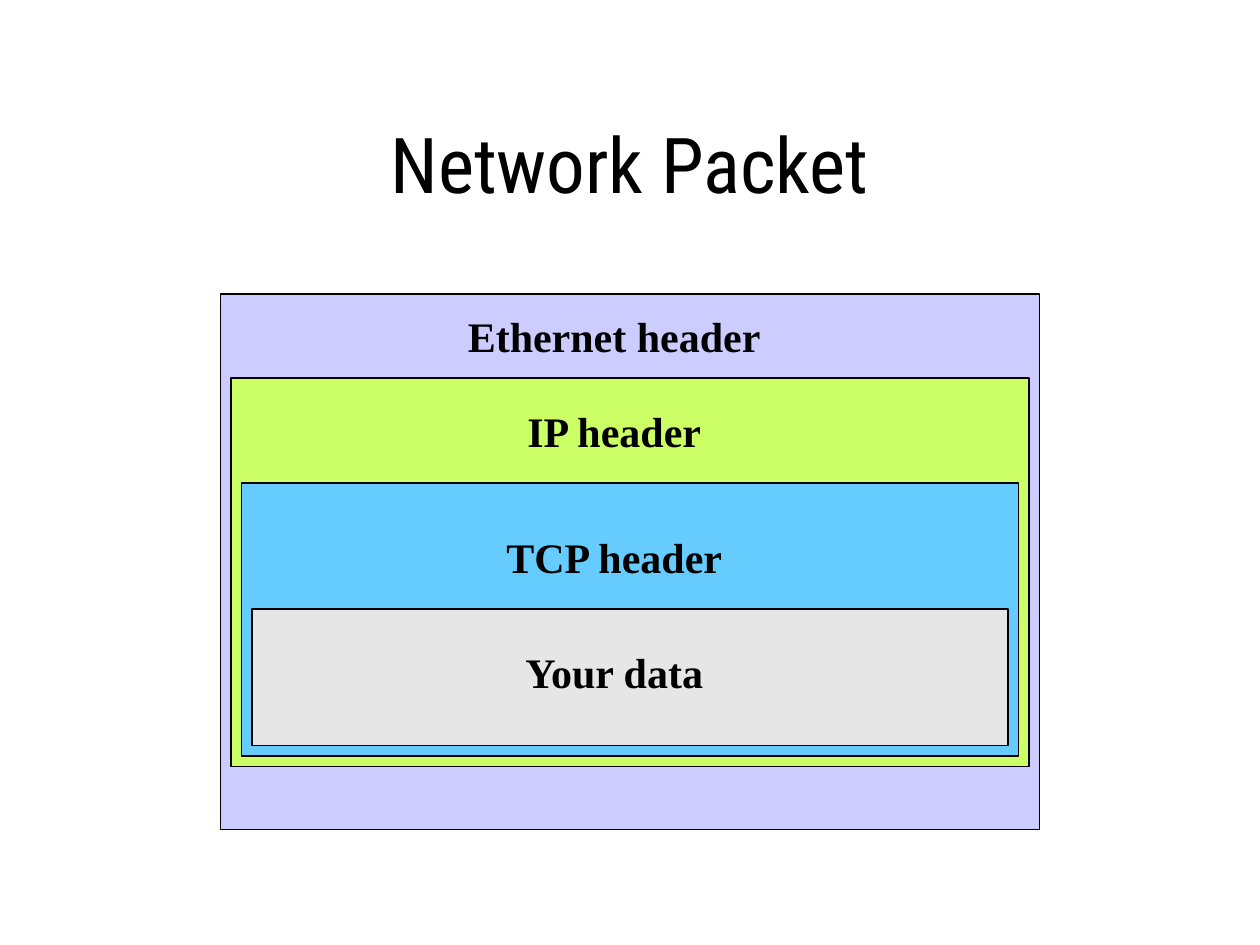
from pptx import Presentation
from pptx.dml.color import RGBColor
from pptx.enum import shapes, text
from pptx.util import Pt


def color(value):
    return RGBColor.from_string(value)


def add_label(slide, words, left, top, width, height, font, size, bold, anchor):
    box = slide.shapes.add_textbox(Pt(left), Pt(top), Pt(width), Pt(height))
    frame = box.text_frame
    frame.word_wrap = True
    frame.vertical_anchor = anchor
    paragraph = frame.paragraphs[0]
    paragraph.alignment = text.PP_ALIGN.CENTER
    run = paragraph.add_run()
    run.text = words
    run.font.name = font
    run.font.size = Pt(size)
    run.font.bold = bold
    run.font.color.rgb = color("000000")


presentation = Presentation()
presentation.slide_width, presentation.slide_height = Pt(720), Pt(540)
slide = presentation.slides.add_slide(presentation.slide_layouts[6])

# Title
add_label(slide, "Network Packet", 54, 48, 612, 90,
          "Roboto Condensed", 44, False, text.MSO_ANCHOR.MIDDLE)

# Nested layers, outermost first: name, fill, top, height, label top
layers = [
    ("Ethernet header", "CCCCFF", 168, 306, 174),
    ("IP header", "CCFF66", 216, 222, 228),
    ("TCP header", "66CCFF", 276, 156, 300),
    ("Your data", "E6E6E6", 348, 78, 366),
]
outer_left, inset = 126, 6
for level, (name, fill, top, height, label_top) in enumerate(layers):
    left = outer_left + level * inset
    shape = slide.shapes.add_shape(shapes.MSO_SHAPE.RECTANGLE,
                                   Pt(left), Pt(top), Pt(720 - 2 * left), Pt(height))
    shape.shadow.inherit = False
    shape.fill.solid()
    shape.fill.fore_color.rgb = color(fill)
    shape.line.color.rgb = color("000000")
    shape.line.width = Pt(0.74)
    add_label(slide, name, 246, label_top, 210, 36,
              "Times New Roman", 24, True, text.MSO_ANCHOR.TOP)

presentation.save("out.pptx")
